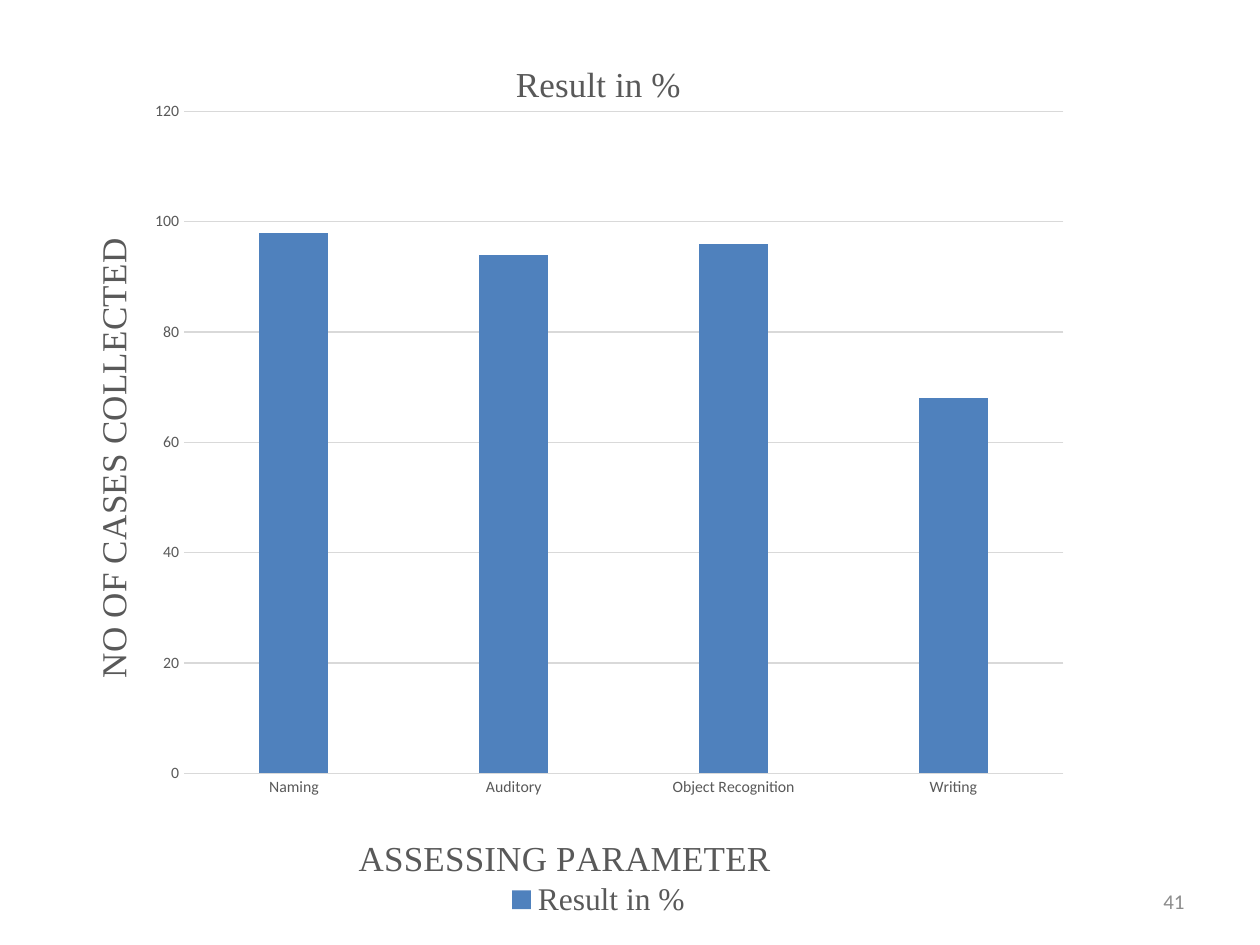
from pptx import Presentation
from pptx.chart.data import CategoryChartData as ChartData
from pptx.dml.color import RGBColor
from pptx.enum.chart import XL_CHART_TYPE as Kind
from pptx.enum.chart import XL_LEGEND_POSITION as Side
from pptx.enum.chart import XL_TICK_MARK as Tick
from pptx.enum.text import MSO_ANCHOR as Anchor
from pptx.enum.text import PP_ALIGN as Align
from pptx.oxml import parse_xml
from pptx.oxml.ns import nsdecls, qn
from pptx.util import Inches, Pt

WIDE, HIGH = Inches(10), Inches(7.5)
GRAY = RGBColor(0x59, 0x59, 0x59)
PALE = RGBColor(0xD9, 0xD9, 0xD9)
MUTED = RGBColor(0x8C, 0x8C, 0x8C)
BLUE = RGBColor(0x4F, 0x81, 0xBD)
SERIF, SANS = "Times New Roman", "Calibri"
RESULTS = {"Naming": 98, "Auditory": 94, "Object Recognition": 96, "Writing": 68}


def area(left, top, wide, high):
    """Turn shares of the slide into a position and size."""
    return [int(share * full) for share, full in
            zip((left, top, wide, high), (WIDE, HIGH, WIDE, HIGH))]


def style(font, size, name=SERIF, color=GRAY):
    font.size, font.name, font.bold = Pt(size), name, False
    font.color.rgb = color


def place(parent, target=None, **shares):
    """Set a manual layout, in shares of the chart, on a title or plot area."""
    old = parent.find(qn("c:layout"))
    spot = 0 if old is None else parent.index(old)
    if old is not None:
        parent.remove(old)
    tags = [("layoutTarget", target)] if target else []
    tags += [("xMode", "edge"), ("yMode", "edge"), *shares.items()]
    body = "".join(f'<c:{tag} val="{val}"/>' for tag, val in tags)
    parent.insert(spot, parse_xml(
        f'<c:layout {nsdecls("c")}><c:manualLayout>{body}'
        '</c:manualLayout></c:layout>'))


def write(title, text):
    frame = title.text_frame
    frame.text = text
    style(frame.paragraphs[0].font, 20)
    return frame


def set_axis(axis, text, x, y, turn=0):
    axis.major_tick_mark = axis.minor_tick_mark = Tick.NONE
    style(axis.tick_labels.font, 9, SANS)
    title = axis.axis_title
    frame = write(title, text)
    bounds = frame._txBody.find(qn("a:bodyPr"))
    bounds.set("rot", str(turn * 60000))
    bounds.set("vert", "horz")
    place(title._element, x=x, y=y)


def rule(line):
    line.color.rgb = PALE
    line.width = Pt(0.75)


def add_bars(slide):
    data = ChartData()
    data.categories = list(RESULTS)
    data.add_series("Result in %", list(RESULTS.values()))
    chart = slide.shapes.add_chart(
        Kind.COLUMN_CLUSTERED, *area(0.05, 0.033, 0.85, 0.944), data).chart
    style(chart.font, 10, SANS)
    write(chart.chart_title, "Result in %")
    chart.has_legend = True
    chart.legend.position = Side.BOTTOM
    chart.legend.include_in_layout = False
    style(chart.legend.font, 18)

    plot = chart.plots[0]
    plot.gap_width, plot.overlap = 219, -27
    plot.vary_by_categories = False
    fill = plot.series[0].format.fill
    fill.solid()
    fill.fore_color.rgb = BLUE
    place(chart._chartSpace.chart.plotArea, "inner",
          x=0.113, y=0.09, w=0.821, h=0.742)

    cats, vals = chart.category_axis, chart.value_axis
    set_axis(cats, "ASSESSING PARAMETER", 0.27, 0.895)
    set_axis(vals, "NO OF CASES COLLECTED", 0.02, 0.225, -90)
    rule(cats.format.line)
    vals.format.line.fill.background()
    vals.minimum_scale, vals.maximum_scale, vals.major_unit = 0, 120, 20
    vals.has_major_gridlines = True
    rule(vals.major_gridlines.format.line)


def add_number(slide, text):
    frame = slide.shapes.add_textbox(
        *area(0.717, 0.927, 0.233, 0.053)).text_frame
    frame.word_wrap = True
    frame.vertical_anchor = Anchor.MIDDLE
    frame.text = text
    line = frame.paragraphs[0]
    line.alignment = Align.RIGHT
    style(line.font, 12, SANS, MUTED)


def main():
    deck = Presentation()
    deck.slide_width, deck.slide_height = WIDE, HIGH
    slide = deck.slides.add_slide(deck.slide_layouts[6])
    add_bars(slide)
    add_number(slide, "41")
    deck.save("out.pptx")


if __name__ == "__main__":
    main()
